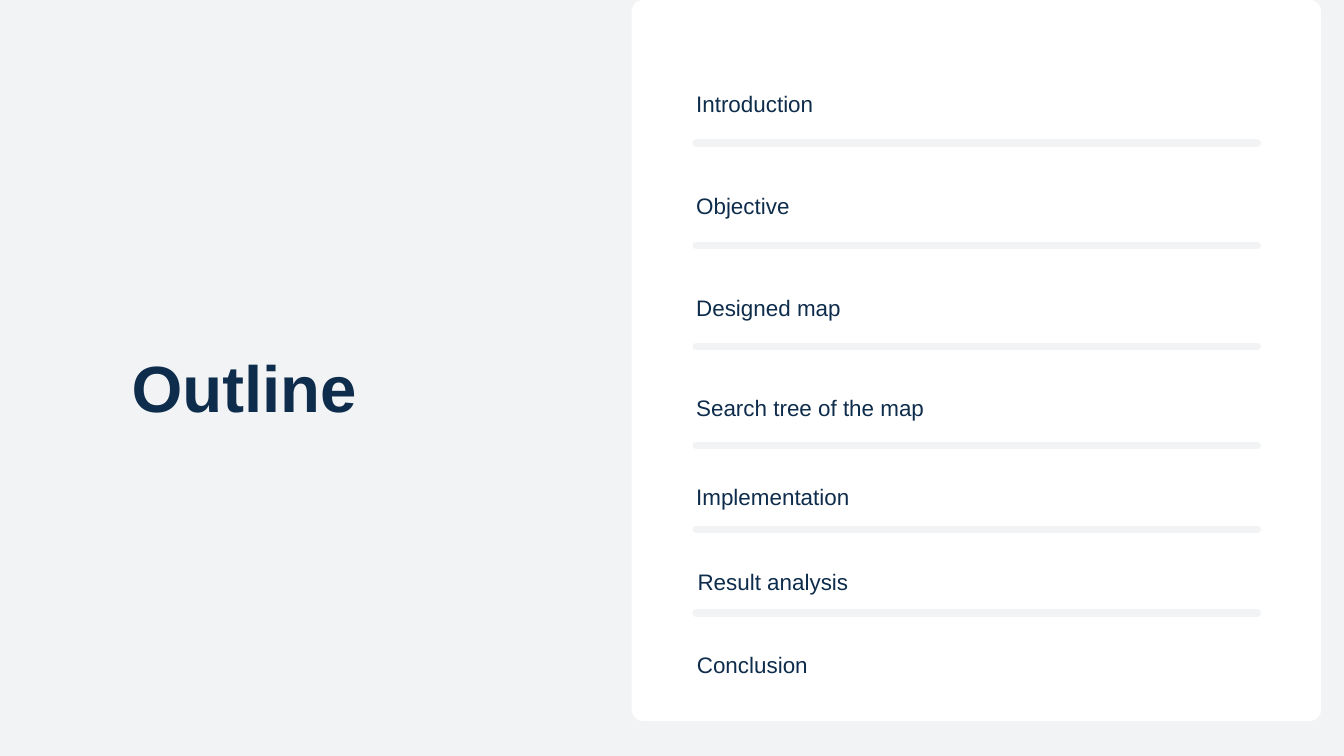
from lxml.etree import SubElement
from pptx import Presentation
from pptx.dml.color import RGBColor
from pptx.enum.shapes import MSO_CONNECTOR, MSO_SHAPE
from pptx.enum.text import MSO_ANCHOR, PP_ALIGN
from pptx.oxml.ns import qn
from pptx.util import Pt

# Content: topic, left and top of its label, height of the rule below it
TITLE = "Outline"
TOPICS = [
    ("Introduction", 1036, 118, 213),
    ("Objective", 1036, 270, 365),
    ("Designed map", 1036, 421, 516),
    ("Search tree of the map", 1036, 570, 663),
    ("Implementation", 1036, 703, 788),
    ("Result analysis", 1038, 830, 912),
    ("Conclusion", 1037, 953, None),
]
RULE_LEFT, RULE_RIGHT = 1036, 1871
LABEL_W, LABEL_H = 750, 57

NAVY = RGBColor(0x0E, 0x2C, 0x4B)
GREY = RGBColor(0xF2, 0xF3, 0xF4)
WHITE = RGBColor(0xFF, 0xFF, 0xFF)
FONT = "Arial"


def px(n):
    return n * 9144  # 100 px to the inch


def write(shape, text, size, space, bold=False):
    frame = shape.text_frame
    frame.text = text
    frame.word_wrap = True
    frame.vertical_anchor = MSO_ANCHOR.TOP
    frame.margin_left = frame.margin_right = 0
    frame.margin_top = frame.margin_bottom = 0
    para = frame.paragraphs[0]
    para.alignment = PP_ALIGN.LEFT
    para.line_spacing = space
    font = para.runs[0].font
    font.name, font.size, font.bold = FONT, Pt(size), bold
    font.color.rgb = NAVY


def add_rule(slide, y):
    rule = slide.shapes.add_connector(
        MSO_CONNECTOR.STRAIGHT, px(RULE_LEFT), px(y), px(RULE_RIGHT), px(y))
    rule.line.color.rgb = GREY
    rule.line.width = Pt(8)
    rule.line._get_or_add_ln().set("cap", "rnd")
    SubElement(rule._element.spPr, qn("a:effectLst"))


def main():
    prs = Presentation()
    prs.slide_width, prs.slide_height = px(2000), px(1125)
    slide = prs.slides.add_slide(prs.slide_layouts[5])
    slide.background.fill.solid()
    slide.background.fill.fore_color.rgb = GREY

    # Title
    title = slide.shapes.title
    title.left, title.top = px(196), px(494)
    title.width, title.height = px(396), px(141)
    write(title, TITLE, 70, 1.2, bold=True)

    # White panel
    panel = slide.shapes.add_shape(
        MSO_SHAPE.ROUNDED_RECTANGLE, px(940), 0, px(1026), px(1073))
    panel.adjustments[0] = 17 / 1026
    panel.shadow.inherit = False
    panel.fill.solid()
    panel.fill.fore_color.rgb = WHITE
    panel.line.fill.background()

    # Topics and the rules between them
    for text, left, top, rule in TOPICS:
        label = slide.shapes.add_textbox(
            px(left), px(top), px(LABEL_W), px(LABEL_H))
        write(label, text, 24, 1.4)
        if rule:
            add_rule(slide, rule)

    prs.save("out.pptx")


if __name__ == "__main__":
    main()
